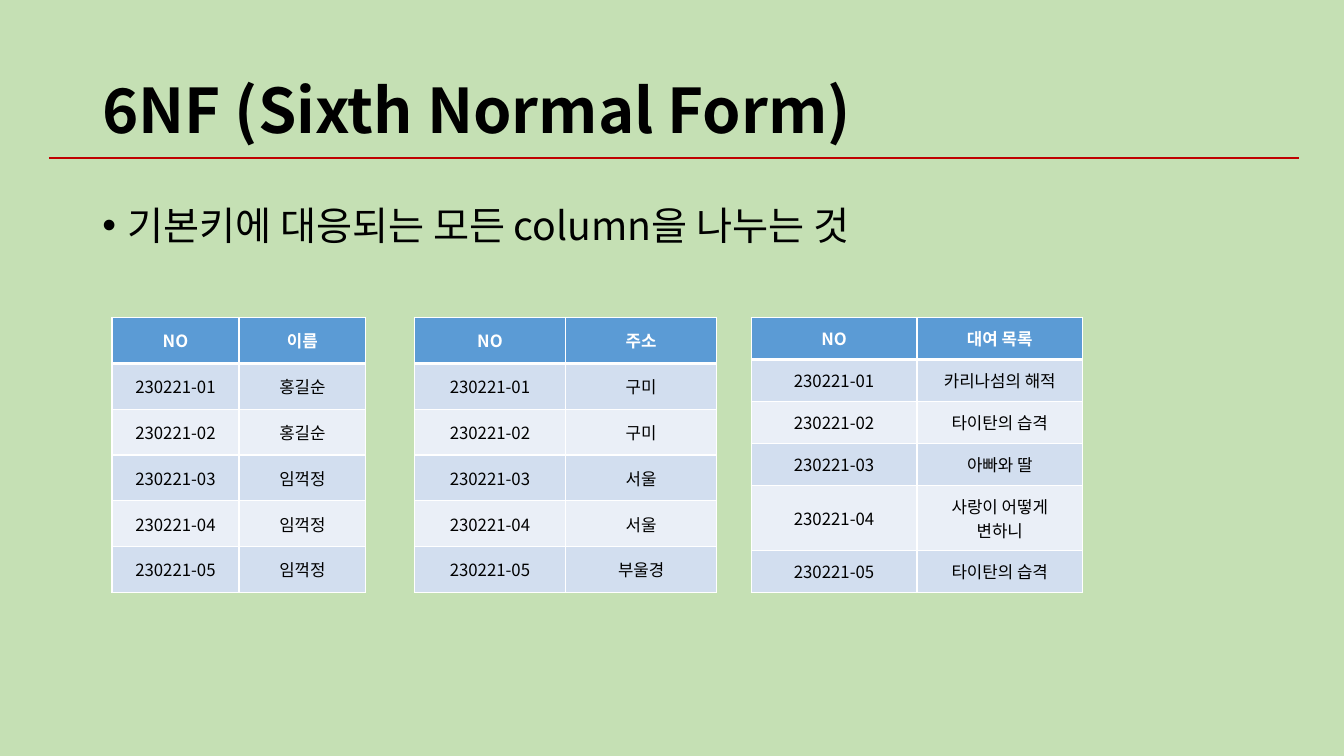
from dataclasses import dataclass
from typing import Any

from lxml import etree
from pptx import Presentation
from pptx.dml.color import RGBColor
from pptx.enum.shapes import MSO_CONNECTOR
from pptx.enum.text import MSO_ANCHOR, PP_ALIGN
from pptx.oxml.ns import qn
from pptx.util import Pt

MIDDLE, TOP = MSO_ANCHOR.MIDDLE, MSO_ANCHOR.TOP
CENTER = PP_ALIGN.CENTER
STRAIGHT = MSO_CONNECTOR.STRAIGHT

FONT = "Noto Sans CJK KR"
BLACK, WHITE, RED, GREEN = "000000", "FFFFFF", "C00000", "C5E0B4"
HEADER_FILL = "5B9BD5"
BAND_FILLS = ("EAEFF7", "D2DEEF")
TABLE_TOP = 226.8
TABLE_HEIGHT = 196.56
RENTAL_NUMBERS = [f"230221-{n:02d}" for n in range(1, 6)]


@dataclass
class TextBox:
    """A text box and the format of its single paragraph."""
    text: str
    top: float
    height: float
    anchor: Any
    font: dict[str, Any]
    para: dict[str, Any]
    bullet_indent: float = 0


@dataclass
class KeyTable:
    """A two-column table pairing each rental number with one value."""
    heading: str
    values: list[str]
    left: float
    width: float
    row_heights: list[float]


TEXT_BOXES = [
    TextBox("6NF (Sixth Normal Form)", 28.8, 104.4, MIDDLE,
            {"size": Pt(44), "bold": True}, {"line_spacing": 0.9}),
    TextBox("기본키에 대응되는 모든 column을 나누는 것", 144, 342.7, TOP,
            {"size": Pt(28), "bold": False},
            {"line_spacing": 0.9, "space_before": Pt(10)}, 18),
]
EVEN_ROWS = [TABLE_HEIGHT / 6] * 6
TABLES = [
    KeyTable("이름", ["홍길순"] * 2 + ["임꺽정"] * 3, 80, 181.4, EVEN_ROWS),
    KeyTable("주소", ["구미", "구미", "서울", "서울", "부울경"],
             296, 216, EVEN_ROWS),
    KeyTable("대여 목록",
             ["카리나섬의 해적", "타이탄의 습격", "아빠와 딸",
              "사랑이 어떻게 변하니", "타이탄의 습격"],
             536.6, 236.8, [30] * 4 + [TABLE_HEIGHT - 150, 30]),
]


def rgb(value: str) -> RGBColor:
    """Turn a hex string into a colour."""
    return RGBColor.from_string(value)


def set_attrs(obj: Any, values: dict[str, Any]) -> None:
    """Set each attribute named in a dict of format values."""
    for name, value in values.items():
        setattr(obj, name, value)


def write(p: Any, text: str, color: str, font: dict[str, Any]) -> None:
    """Add a run in the slide font for Latin and Korean characters."""
    r = p.add_run()
    r.text = text
    set_attrs(r.font, {"name": FONT, **font})
    r.font.color.rgb = rgb(color)
    ea = etree.Element(qn("a:ea"), typeface=FONT)
    r.font._element.find(qn("a:latin")).addnext(ea)


def add_bullet(p: Any, indent: float) -> None:
    """Give a paragraph a round bullet with a hanging indent."""
    pPr = p._p.get_or_add_pPr()
    pPr.set("marL", str(Pt(indent)))
    pPr.set("indent", str(-Pt(indent)))
    etree.SubElement(pPr, qn("a:buFont"), typeface="Arial")
    etree.SubElement(pPr, qn("a:buChar"), char="•")


def add_text(s: Any, box: TextBox) -> None:
    """Draw a text box."""
    sp = s.shapes.add_textbox(Pt(66), Pt(box.top), Pt(828), Pt(box.height))
    tf = sp.text_frame
    set_attrs(tf, {"word_wrap": True, "vertical_anchor": box.anchor})
    p = tf.paragraphs[0]
    set_attrs(p, box.para)
    if box.bullet_indent:
        add_bullet(p, box.bullet_indent)
    write(p, box.text, BLACK, box.font)


def add_rule(s: Any) -> None:
    """Draw the red line under the title."""
    line = s.shapes.add_connector(STRAIGHT, Pt(35), Pt(113), Pt(928), Pt(113))
    line.line.color.rgb = rgb(RED)
    line.line.width = Pt(1.5)
    etree.SubElement(line._element.spPr, qn("a:effectLst"))


def add_borders(cell: Any, row: int) -> None:
    """Draw white cell borders, thick between the header and the body."""
    tcPr = cell._tc.get_or_add_tcPr()
    thick_side = {0: "B", 1: "T"}.get(row)
    for i, side in enumerate("LRTB"):
        width = Pt(3 if side == thick_side else 1)
        ln = etree.Element(qn(f"a:ln{side}"), w=str(width))
        fill = etree.SubElement(ln, qn("a:solidFill"))
        etree.SubElement(fill, qn("a:srgbClr"), val=WHITE)
        tcPr.insert(i, ln)


def add_key_table(s: Any, spec: KeyTable) -> None:
    """Draw a table with a blue header and banded rows."""
    rows = [("NO", spec.heading), *zip(RENTAL_NUMBERS, spec.values)]
    table = s.shapes.add_table(len(rows), 2, Pt(spec.left), Pt(TABLE_TOP),
                               Pt(spec.width), Pt(TABLE_HEIGHT)).table
    for column in table.columns:
        column.width = Pt(spec.width / 2)
    for i, (row, height) in enumerate(zip(rows, spec.row_heights)):
        table.rows[i].height = Pt(height)
        header = i == 0
        for j, text in enumerate(row):
            cell = table.cell(i, j)
            cell.vertical_anchor = MIDDLE
            cell.fill.solid()
            cell.fill.fore_color.rgb = rgb(
                HEADER_FILL if header else BAND_FILLS[i % 2])
            add_borders(cell, i)
            p = cell.text_frame.paragraphs[0]
            p.alignment = CENTER
            write(p, text, WHITE if header else BLACK,
                  {"size": Pt(12), "bold": header})


def main() -> None:
    """Build and save the slide."""
    prs = Presentation()
    set_attrs(prs, {"slide_width": Pt(960), "slide_height": Pt(540)})
    s = prs.slides.add_slide(prs.slide_layouts[6])
    s.background.fill.solid()
    s.background.fill.fore_color.rgb = rgb(GREEN)
    for box in TEXT_BOXES:
        add_text(s, box)
    add_rule(s)
    for spec in TABLES:
        add_key_table(s, spec)
    prs.save("out.pptx")


main()
